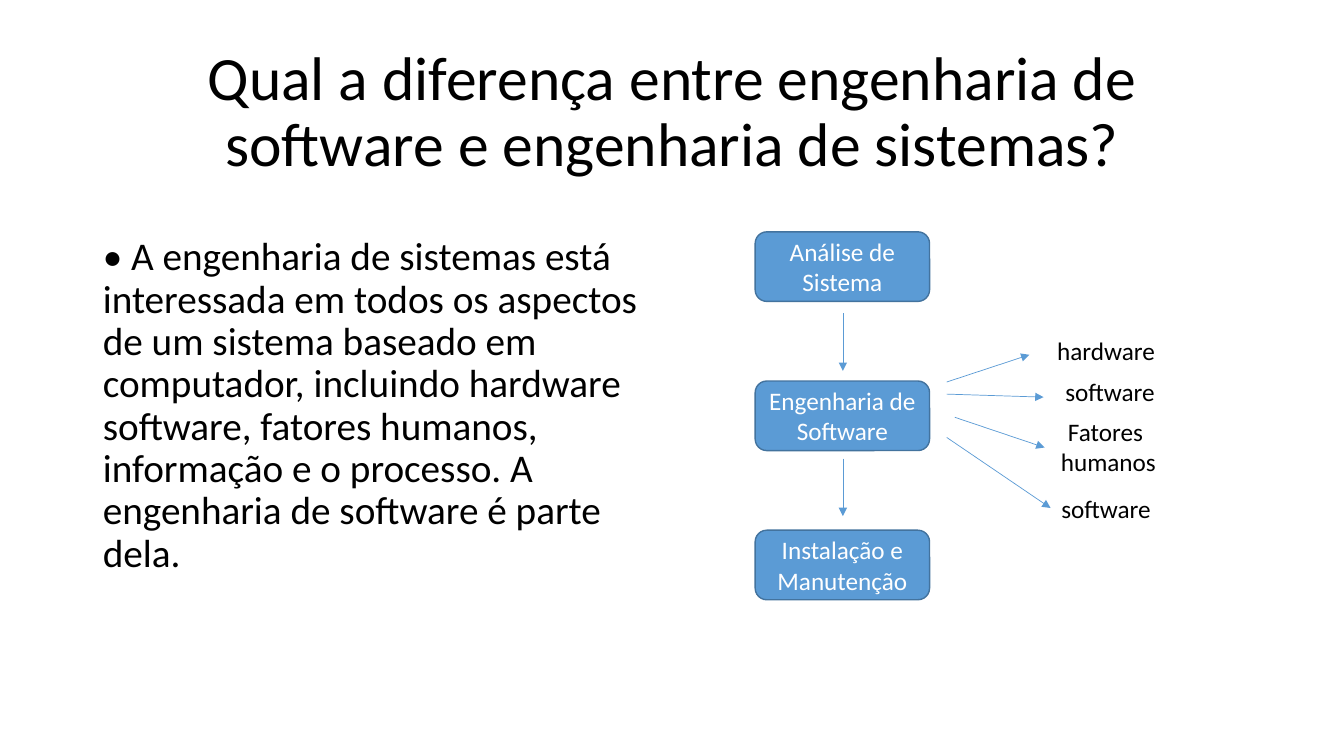
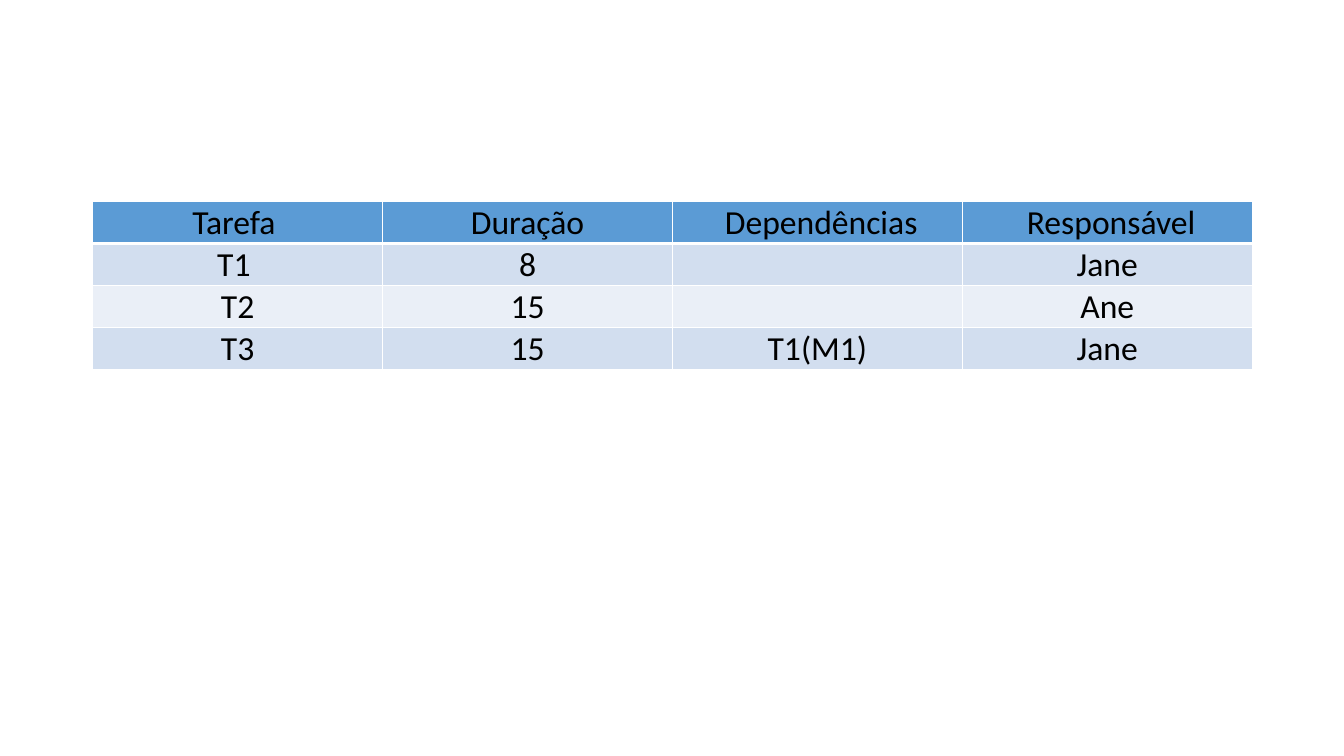
import dataclasses

import pptx
import pptx.dml.color
import pptx.enum.shapes
import pptx.enum.text
import pptx.oxml
import pptx.oxml.ns
import pptx.util

Inches = pptx.util.Inches
Pt = pptx.util.Pt
Align = pptx.enum.text.PP_ALIGN
Anchor = pptx.enum.text.MSO_ANCHOR
AutoSize = pptx.enum.text.MSO_AUTO_SIZE
qn = pptx.oxml.ns.qn


@dataclasses.dataclass(frozen=True)
class Theme:
    font: str = "Calibri"
    text: str = "000000"
    light: str = "FFFFFF"
    accent: str = "5B9BD5"
    outline: str = "43739E"
    bands: tuple = ("D2DEEF", "EAEFF7")
    title_size: int = 44
    body_size: int = 28
    table_size: int = 24
    label_size: int = 18
    line_spacing: float = 0.9
    margin: float = 0.92
    content_width: float = 11.5


THEME = Theme()
TITLE = "Qual a diferença entre engenharia de software e engenharia de sistemas?"
BODY = (
    "• A engenharia de sistemas está interessada em todos os aspectos de um "
    "sistema baseado em computador, incluindo hardware software, fatores humanos, "
    "informação e o processo. A engenharia de software é parte dela."
)
STAGES = ("Análise de Sistema", "Engenharia de Software", "Instalação e Manutenção")
STAGE_LEFT, STAGE_TOP, STAGE_STEP = 7.49, 2.3, 1.48
STAGE_WIDTH, STAGE_HEIGHT = 1.73, 0.69
STAGE_CENTER = 8.36
ARROWS = (
    (STAGE_CENTER, 3.11, STAGE_CENTER, 3.68),
    (STAGE_CENTER, 4.55, STAGE_CENTER, 5.12),
    (9.39, 3.79, 10.21, 3.52),
    (9.39, 3.91, 10.35, 3.94),
    (9.47, 4.14, 10.36, 4.44),
    (9.39, 4.34, 10.42, 5.04),
)
LABELS = (
    ("hardware", 10.38, 3.28, 1.18, 0.4),
    ("software", 10.46, 3.68, 1.1, 0.4),
    ("Fatores\n humanos", 10.36, 4.08, 1.21, 0.71),
    ("software", 10.42, 4.84, 1.1, 0.4),
)
TASKS = (
    ("Tarefa ", "Duração", " Dependências", " Responsável"),
    ("T1 ", "8", "", "Jane"),
    ("T2", "15", "", "Ane"),
    ("T3", "15", "T1(M1)", "Jane"),
)
ROW_HEIGHT = 0.41


def rgb(color):
    return pptx.dml.color.RGBColor.from_string(color)


def box(left, top, width, height):
    return tuple(Inches(length) for length in (left, top, width, height))


def write(text_frame, text, size, color=THEME.text, alignment=Align.CENTER):
    text_frame.text = text
    for paragraph in text_frame.paragraphs:
        paragraph.alignment = alignment
        for run in paragraph.runs:
            run.font.name = THEME.font
            run.font.size = Pt(size)
            run.font.bold = False
            run.font.color.rgb = rgb(color)


def fill_placeholder(shape, top, height, text, size, alignment, anchor):
    shape.left, shape.top, shape.width, shape.height = box(
        THEME.margin, top, THEME.content_width, height
    )
    text_frame = shape.text_frame
    write(text_frame, text, size, alignment=alignment)
    text_frame.auto_size = AutoSize.NONE
    text_frame.vertical_anchor = anchor
    text_frame.paragraphs[0].line_spacing = THEME.line_spacing


def flow_in_two_columns(shape):
    shape.element.txBody.bodyPr.set("numCol", "2")
    paragraph = shape.text_frame.paragraphs[0]
    paragraph.space_before = Pt(10)
    properties = paragraph._p.get_or_add_pPr()
    properties.set("marL", "0")
    properties.set("indent", "0")
    properties.append(pptx.oxml.parse_xml(f"<a:buNone {pptx.oxml.ns.nsdecls('a')}/>"))


def add_stage(slide, text, top):
    shape = slide.shapes.add_shape(
        pptx.enum.shapes.MSO_SHAPE.ROUNDED_RECTANGLE,
        *box(STAGE_LEFT, top, STAGE_WIDTH, STAGE_HEIGHT),
    )
    shape.shadow.inherit = False
    shape.fill.solid()
    shape.fill.fore_color.rgb = rgb(THEME.accent)
    shape.line.color.rgb = rgb(THEME.outline)
    shape.line.width = Pt(1)
    shape.text_frame.vertical_anchor = Anchor.MIDDLE
    write(shape.text_frame, text, THEME.label_size, THEME.light)


def add_arrow(slide, *ends):
    connector = slide.shapes.add_connector(
        pptx.enum.shapes.MSO_CONNECTOR.STRAIGHT, *box(*ends)
    )
    connector.line.color.rgb = rgb(THEME.accent)
    connector.line.width = Pt(0.5)
    namespace = pptx.oxml.ns.nsdecls("a")
    properties = connector.element.spPr
    properties.find(qn("a:ln")).append(
        pptx.oxml.parse_xml(f'<a:tailEnd {namespace} type="triangle"/>')
    )
    properties.append(pptx.oxml.parse_xml(f"<a:effectLst {namespace}/>"))


def add_label(slide, text, *position):
    text_frame = slide.shapes.add_textbox(*box(*position)).text_frame
    text_frame.word_wrap = False
    text_frame.auto_size = AutoSize.SHAPE_TO_FIT_TEXT
    write(text_frame, text, THEME.label_size)


def set_borders(cell, bottom_width):
    widths = {"lnL": 1, "lnR": 1, "lnT": 1, "lnB": bottom_width}
    properties = cell._tc.get_or_add_tcPr()
    for side, width in widths.items():
        properties.append(
            pptx.oxml.parse_xml(
                f'<a:{side} {pptx.oxml.ns.nsdecls("a")} w="{Pt(width)}">'
                f'<a:solidFill><a:srgbClr val="{THEME.light}"/></a:solidFill></a:{side}>'
            )
        )


def format_cell(cell, text, fill, bottom_width):
    set_borders(cell, bottom_width)
    cell.fill.solid()
    cell.fill.fore_color.rgb = rgb(fill)
    cell.margin_left = cell.margin_right = cell.margin_top = Inches(0.01)
    cell.margin_bottom = 0
    cell.vertical_anchor = Anchor.BOTTOM
    write(cell.text_frame, text, THEME.table_size)


def add_table(slide, rows, top):
    table = slide.shapes.add_table(
        len(rows),
        len(rows[0]),
        *box(THEME.margin, top, THEME.content_width, ROW_HEIGHT * len(rows)),
    ).table
    for row_index, row in enumerate(rows):
        is_header = row_index == 0
        fill = THEME.accent if is_header else THEME.bands[(row_index - 1) % 2]
        bottom_width = 3 if is_header else 1
        for column_index, text in enumerate(row):
            format_cell(table.cell(row_index, column_index), text, fill, bottom_width)


def build_comparison_slide(presentation):
    slide = presentation.slides.add_slide(presentation.slide_layouts[1])
    title, body = slide.placeholders
    fill_placeholder(
        title, 0.4, 1.45, TITLE, THEME.title_size, Align.CENTER, Anchor.MIDDLE
    )
    fill_placeholder(body, 2.3, 4.73, BODY, THEME.body_size, Align.LEFT, Anchor.TOP)
    flow_in_two_columns(body)
    for index, text in enumerate(STAGES):
        add_stage(slide, text, STAGE_TOP + index * STAGE_STEP)
    for ends in ARROWS:
        add_arrow(slide, *ends)
    for label in LABELS:
        add_label(slide, *label)


def build_task_slide(presentation):
    slide = presentation.slides.add_slide(presentation.slide_layouts[6])
    add_table(slide, TASKS, top=2)


def main():
    presentation = pptx.Presentation()
    presentation.slide_width = Inches(13.33)
    presentation.slide_height = Inches(7.5)
    build_comparison_slide(presentation)
    build_task_slide(presentation)
    presentation.save("out.pptx")


if __name__ == "__main__":
    main()
